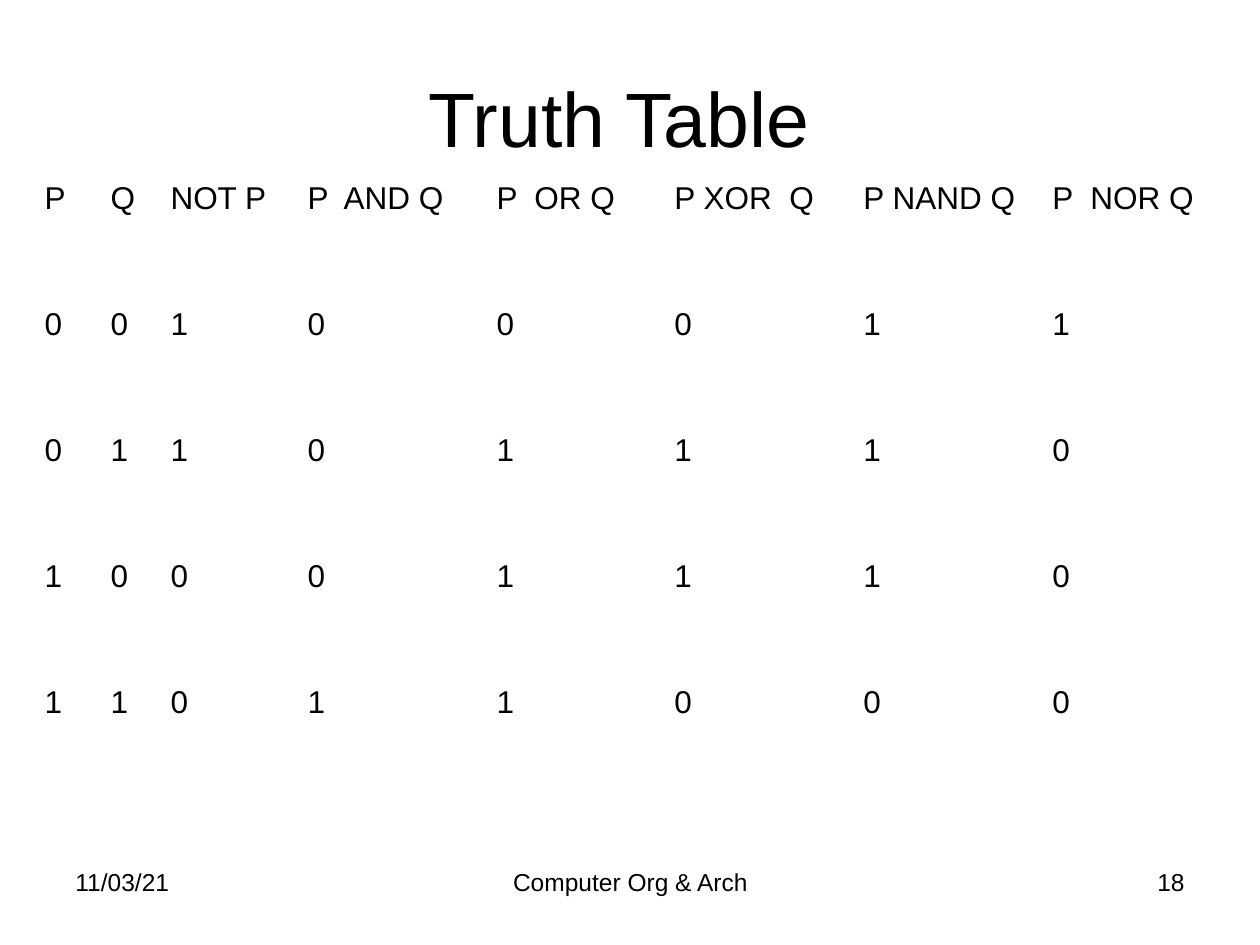
import dataclasses

import pptx
import pptx.dml.color
import pptx.enum.text
import pptx.util

ALIGN = pptx.enum.text.PP_ALIGN
ANCHOR = pptx.enum.text.MSO_ANCHOR
PX_PER_INCH = 126


@dataclasses.dataclass(frozen=True)
class Theme:
    font: str = "Arial"
    ink: str = "000000"
    paper: str = "FFFFFF"
    title_size: int = 44
    table_size: int = 18
    footer_size: int = 14
    table_spacing: float = 0.87


THEME = Theme()

COLUMN_WIDTHS = [66, 60, 137, 189, 178, 189, 189, 168]
ROW_HEIGHT = 126
TRUTH_ROWS = [
    ["P", "Q", "NOT P", "P  AND Q", "P  OR Q", "P XOR  Q", "P NAND Q", "P  NOR Q"],
    ["0", "0", "1", "0", "0", "0", "1", "1"],
    ["0", "1", "1", "0", "1", "1", "1", "0"],
    ["1", "0", "0", "0", "1", "1", "1", "0"],
    ["1", "1", "0", "1", "1", "0", "0", "0"],
]
FOOTERS = [
    ("18", 903, 294, ALIGN.RIGHT),
    ("11/03/21", 63, 294, ALIGN.LEFT),
    ("Computer Org & Arch", 431, 399, ALIGN.CENTER),
]


def px(length):
    return pptx.util.Emu(round(length * 914400 / PX_PER_INCH))


def color(code):
    return pptx.dml.color.RGBColor.from_string(code)


def write(frame, text, size, align=ALIGN.LEFT, spacing=1.0):
    frame.word_wrap = True
    para = frame.paragraphs[0]
    para.alignment = align
    para.line_spacing = spacing
    span = para.add_run()
    span.text = text
    span.font.name = THEME.font
    span.font.size = pptx.util.Pt(size)
    span.font.color.rgb = color(THEME.ink)


def place_title(page, text):
    title = page.shapes.title
    title.left, title.top = px(63), px(38)
    title.width, title.height = px(1134), px(158)
    title.text_frame.vertical_anchor = ANCHOR.MIDDLE
    write(title.text_frame, text, THEME.title_size, ALIGN.CENTER)


def add_truth_table(page, left, top):
    frame = page.shapes.add_table(
        len(TRUTH_ROWS), len(COLUMN_WIDTHS), px(left), px(top),
        px(sum(COLUMN_WIDTHS)), px(ROW_HEIGHT * len(TRUTH_ROWS)),
    )
    table = frame.table
    table.first_row = False
    table.horz_banding = False
    for column, width in zip(table.columns, COLUMN_WIDTHS):
        column.width = px(width)
    for row, values in zip(table.rows, TRUTH_ROWS):
        row.height = px(ROW_HEIGHT)
        for cell, value in zip(row.cells, values):
            cell.fill.background()
            write(cell.text_frame, value, THEME.table_size, spacing=THEME.table_spacing)


def add_footer(page, text, left, width, align):
    box = page.shapes.add_textbox(px(left), px(861), px(width), px(66))
    write(box.text_frame, text, THEME.footer_size, align)


def main():
    deck = pptx.Presentation()
    deck.slide_width, deck.slide_height = px(1260), px(945)
    page = deck.slides.add_slide(deck.slide_layouts.get_by_name("Title Only"))
    page.background.fill.solid()
    page.background.fill.fore_color.rgb = color(THEME.paper)
    place_title(page, "Truth Table ")
    add_truth_table(page, 32, 179)
    for footer in FOOTERS:
        add_footer(page, *footer)
    deck.save("out.pptx")


if __name__ == "__main__":
    main()
